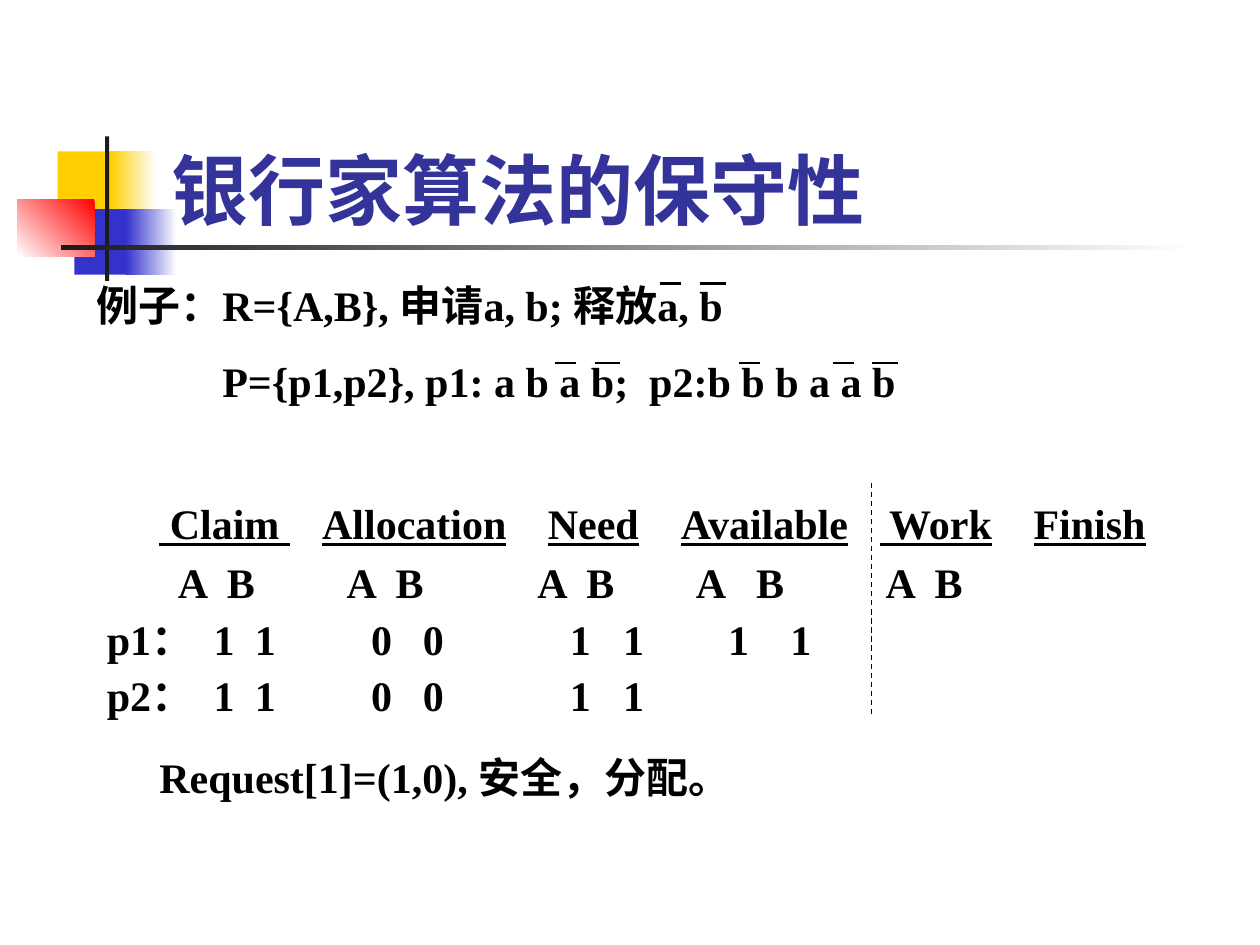
from typing import NamedTuple, Optional

from pptx import Presentation
from pptx import util as u
from pptx.dml.color import RGBColor
from pptx.enum import dml, shapes, text
from pptx.oxml import xmlchemy as xc
from pptx.oxml.ns import qn
from lxml import etree

Pt = u.Pt
SERIF = "Times New Roman"
BLACK = "000000"


class Block(NamedTuple):
    x: float
    y: float
    w: float
    h: float
    color: str
    fade_to: Optional[str] = None
    angle: float = 0


class Rule(NamedTuple):
    x1: float
    y1: float
    x2: float
    y2: float
    width: float = 1.25
    dashed: bool = False


class Row(NamedTuple):
    content: str
    stops: tuple = ()
    spacing: Optional[float] = None
    indent: float = 0
    underlined: bool = False


def rgb(value: str) -> RGBColor:
    return RGBColor.from_string(value)


def draw_block(s, b: Block) -> None:
    sp = s.shapes.add_shape(shapes.MSO_SHAPE.RECTANGLE, Pt(b.x), Pt(b.y), Pt(b.w), Pt(b.h))
    sp.shadow.inherit = False
    sp.line.fill.background()
    if b.fade_to is None:
        sp.fill.solid()
        sp.fill.fore_color.rgb = rgb(b.color)
        return
    sp.fill.gradient()
    sp.fill.gradient_angle = b.angle
    for stop, color in zip(sp.fill.gradient_stops, (b.color, b.fade_to)):
        stop.color.rgb = rgb(color)


def draw_rule(s, rule: Rule) -> None:
    c = s.shapes.add_connector(shapes.MSO_CONNECTOR.STRAIGHT, Pt(rule.x1), Pt(rule.y1),
                               Pt(rule.x2), Pt(rule.y2))
    c.line.color.rgb = rgb(BLACK)
    c.line.width = Pt(rule.width)
    if rule.dashed:
        c.line.dash_style = dml.MSO_LINE.DASH
    etree.SubElement(c._element.spPr, qn("a:effectLst"))


def set_layout(p, row: Row) -> None:
    """Set the left indent and the tab stops of a paragraph."""
    pPr = p._p.get_or_add_pPr()
    if row.indent:
        pPr.set("marL", str(Pt(row.indent)))
        pPr.set("indent", "0")
    if row.stops:
        tabs = etree.SubElement(pPr, qn("a:tabLst"))
        for stop in row.stops:
            etree.SubElement(tabs, qn("a:tab"), pos=str(Pt(stop)), algn="l")


def draw_text(s, x: float, y: float, w: float, h: float, rows: list, font: str = SERIF,
              size: float = 24, color: str = BLACK, bottom: bool = False) -> None:
    tf = s.shapes.add_textbox(Pt(x), Pt(y), Pt(w), Pt(h)).text_frame
    tf.word_wrap = True
    if bottom:
        tf.vertical_anchor = text.MSO_ANCHOR.BOTTOM
    else:
        tf.auto_size = text.MSO_AUTO_SIZE.SHAPE_TO_FIT_TEXT
    for i, row in enumerate(rows):
        p = tf.add_paragraph() if i else tf.paragraphs[0]
        set_layout(p, row)
        if i:
            p.space_before = Pt(15)
        if row.spacing:
            p.line_spacing = row.spacing
        # Tabs stay in runs of their own so that only the words are underlined.
        for j, word in enumerate(row.content.split("\t")):
            for part in ("\t" if j else "", word):
                if part:
                    r = p.add_run()
                    r.text = part
                    r.font.name, r.font.size, r.font.bold = font, Pt(size), True
                    r.font.color.rgb = rgb(color)
                    r.font.underline = row.underlined and part != "\t"


BLOCKS = [
    Block(33, 86.5, 34.5, 37.5, "FFCF01"),
    Block(63, 86.5, 26, 37.5, "FFCF01", "FFFFFF"),
    Block(42.5, 119.5, 33, 37.5, "3333CC"),
    Block(72, 119.5, 29, 37.5, "3333CC", "FFFFFF"),
    Block(10, 113.75, 44, 33, "FF0000", "FFFFFF", 225),
    Block(60, 78, 2.4, 82.5, "1C1C1C"),
    Block(34.75, 140.2, 648, 2.5, "1C1C1C", "FFFFFF"),
]

EXAMPLE = [
    Row("例子：R={A,B}, 申请a, b; 释放a, b"),
    Row("P={p1,p2}, p1: a b a b;  p2:b b b a a b", indent=72),
]

VALUE_STOPS = (61, 84.5, 151, 180.5, 264.5, 295, 355, 390.5)
MATRIX = [
    Row("\t Claim \tAllocation\tNeed\tAvailable\t Work\tFinish",
        (30, 123, 252, 328, 441.5, 529.5), underlined=True),
    Row("\tA\tB" * 5, (40.5, 68.5, 137, 165, 246, 274, 336.5, 371, 445, 473), 0.6),
    Row("p1：\t1\t1\t0\t0\t1\t1\t1\t1", VALUE_STOPS, 0.6),
    Row("p2：\t1\t1\t0\t0\t1\t1", VALUE_STOPS, 0.6),
]

# Bars over the released resources: a narrow one for a, a wide one for b.
RELEASE_Y, SEQUENCE_Y = 162, 207.5
OVERBARS = [
    (377.25, RELEASE_Y, 11.75, 1.5), (399.75, RELEASE_Y, 15, 1.25),
    (317, SEQUENCE_Y, 12, 1.5), (339.75, SEQUENCE_Y, 14.5, 1.25),
    (422.5, SEQUENCE_Y, 12, 1.25),
    (475.75, SEQUENCE_Y, 12, 1.5), (498.25, SEQUENCE_Y, 15, 1.25),
]


def main() -> None:
    prs = Presentation()
    prs.slide_width, prs.slide_height = Pt(720), Pt(540)
    s = prs.slides.add_slide(prs.slide_layouts[6])
    for block in BLOCKS:
        draw_block(s, block)
    draw_text(s, 90.75, 48, 613.5, 90, [Row("银行家算法的保守性")],
              "Karla", 44, "333399", bottom=True)
    draw_text(s, 48, 156, 618, 80, EXAMPLE)
    draw_text(s, 54, 281, 624, 133, MATRIX)
    draw_text(s, 84, 426, 600, 80, [Row("Request[1]=(1,0), 安全，分配。")])
    for x, y, length, width in OVERBARS:
        draw_rule(s, Rule(x, y, x + length, y, width))
    draw_rule(s, Rule(498, 276, 498, 408, 0.75, dashed=True))
    prs.save("out.pptx")


if __name__ == "__main__":
    main()
